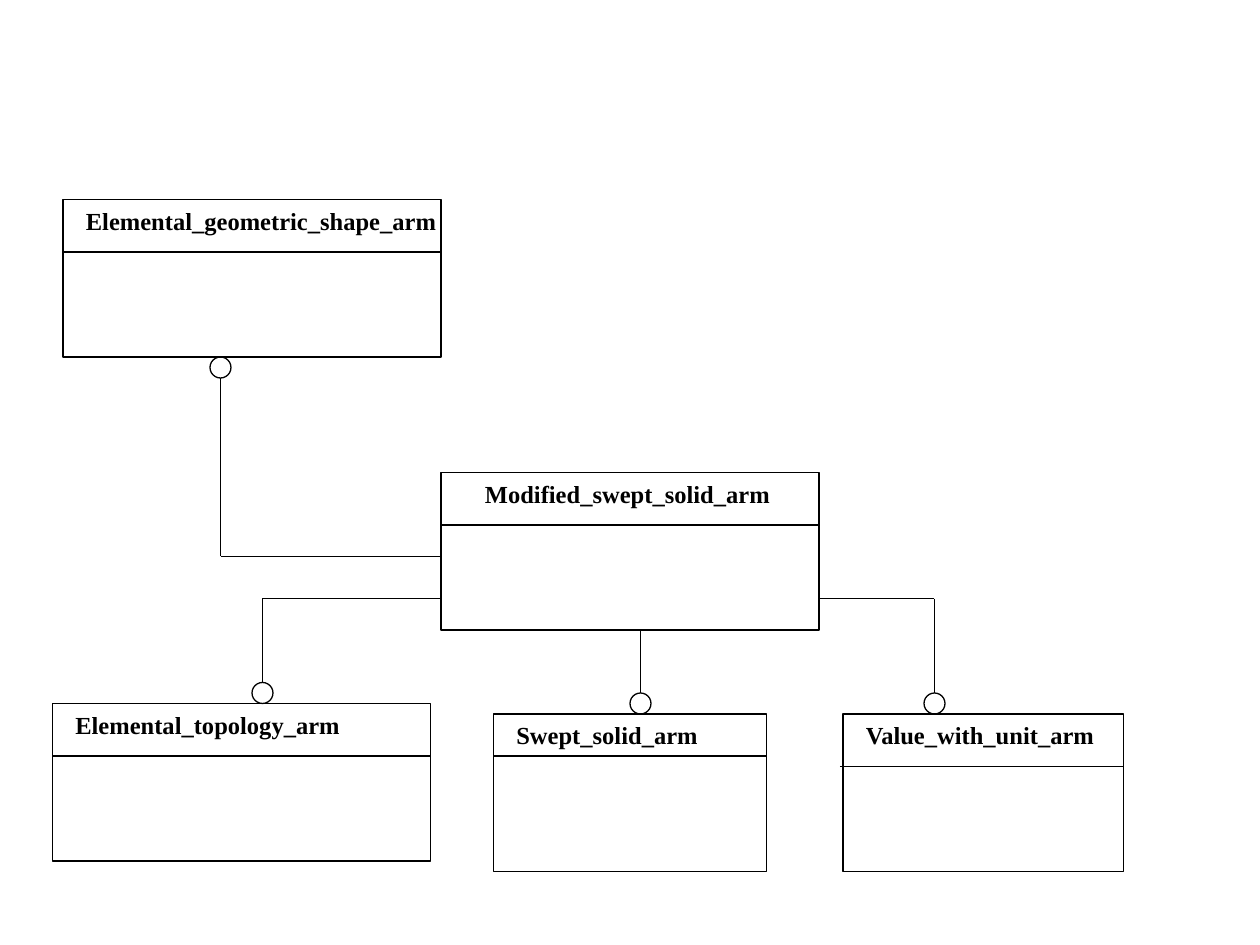
from itertools import pairwise

from lxml.etree import SubElement
from pptx import Presentation
from pptx.dml.color import RGBColor
from pptx.enum.shapes import MSO_CONNECTOR as Connector, MSO_SHAPE as Shape
from pptx.enum.text import MSO_AUTO_SIZE as AutoSize
from pptx.oxml.ns import qn
from pptx.util import Inches, Pt

COLUMNS, ROWS = 120, 90  # grid of twelve cells to the inch


def color(hex_string):
    return RGBColor.from_string(hex_string)


class Diagram:
    """Draws entity boxes and relations in grid units on one slide."""

    ink = "000000"
    font_name = "Times New Roman"
    font_size = Pt(14)
    line_width = Pt(0.75)
    circle_size = 2
    label_height = 4

    def __init__(self, presentation):
        self.cell_width = presentation.slide_width / COLUMNS
        self.cell_height = presentation.slide_height / ROWS
        self.slide = presentation.slides.add_slide(presentation.slide_layouts[6])

    def place(self, *lengths):
        """Turn alternating columns and rows into slide lengths."""
        cells = (self.cell_width, self.cell_height)
        return [round(length * cells[i % 2]) for i, length in enumerate(lengths)]

    def style_line(self, line):
        line.color.rgb = color(self.ink)
        line.width = self.line_width

    def outline(self, kind, left, top, width, height):
        shape = self.slide.shapes.add_shape(kind, *self.place(left, top, width, height))
        shape.shadow.inherit = False
        shape.fill.background()
        self.style_line(shape.line)

    def line(self, start, end):
        connector = self.slide.shapes.add_connector(
            Connector.STRAIGHT, *self.place(*start, *end))
        self.style_line(connector.line)
        SubElement(connector._element.spPr, qn("a:effectLst"))

    def label(self, text, left, top, width):
        box = self.slide.shapes.add_textbox(
            *self.place(left, top, width, self.label_height))
        frame = box.text_frame
        frame.text = text
        frame.word_wrap = False
        frame.auto_size = AutoSize.SHAPE_TO_FIT_TEXT
        font = frame.paragraphs[0].runs[0].font
        font.name, font.size, font.bold = self.font_name, self.font_size, True
        font.color.rgb = color(self.ink)

    def entity(self, name, left, top, label_width, width=36, height=15,
               header=5, indent=1, overhang=0):
        """Draw a box with a header rule that may start left of the box."""
        self.outline(Shape.RECTANGLE, left, top, width, height)
        self.line((left - overhang, top + header), (left + width, top + header))
        self.label(name, left + indent, top, label_width)

    def relation(self, circle_center, *points):
        """Draw a line through the points, the first on the circle's rim."""
        column, row = circle_center
        radius = self.circle_size / 2
        self.outline(Shape.OVAL, column - radius, row - radius,
                     self.circle_size, self.circle_size)
        for start, end in pairwise(points):
            self.line(start, end)


def main():
    presentation = Presentation()
    presentation.slide_width, presentation.slide_height = Inches(10), Inches(7.5)
    diagram = Diagram(presentation)

    diagram.entity("Modified_swept_solid_arm", 42, 45, 29.75, indent=3)
    diagram.entity("Elemental_geometric_shape_arm", 6, 19, 36)
    diagram.entity("Elemental_topology_arm", 5, 67, 27.75)
    diagram.entity("Value_with_unit_arm", 80.28, 68, 24.5, width=26.72, overhang=0.28)
    diagram.entity("Swept_solid_arm", 47, 68, 19.75, width=26, header=4)

    diagram.relation((21, 35), (21, 36), (21, 53), (42, 53))
    diagram.relation((61, 67), (61, 66), (61, 60))
    diagram.relation((25, 66), (25, 65), (25, 57), (42, 57))
    diagram.relation((89, 67), (89, 66), (89, 57), (78, 57))

    presentation.save("out.pptx")


if __name__ == "__main__":
    main()
